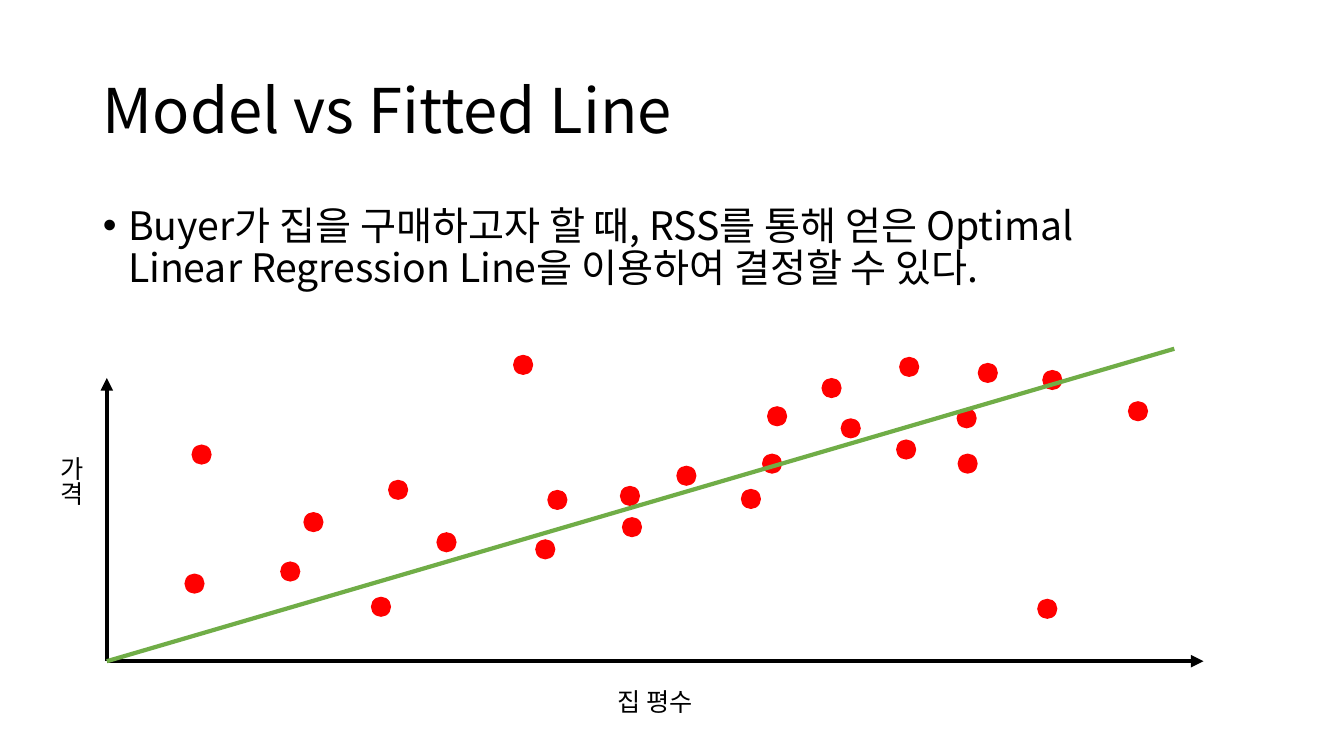
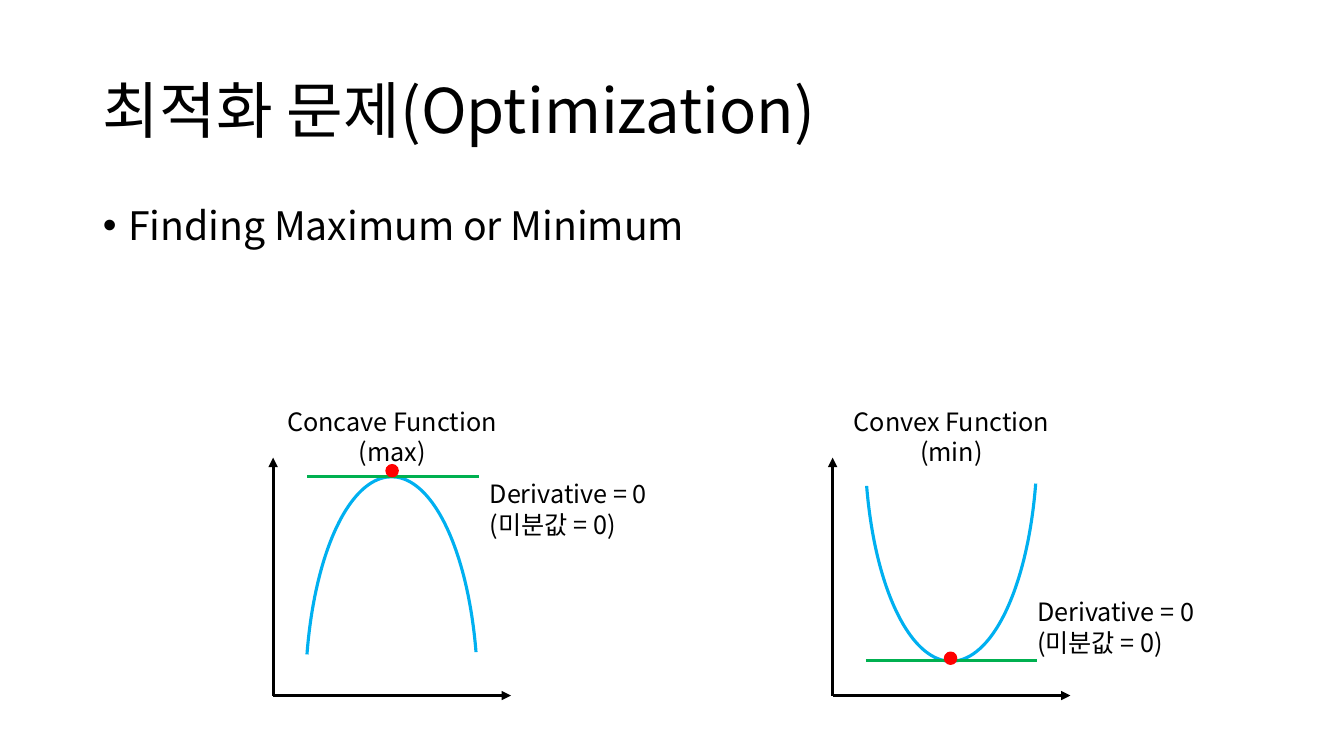
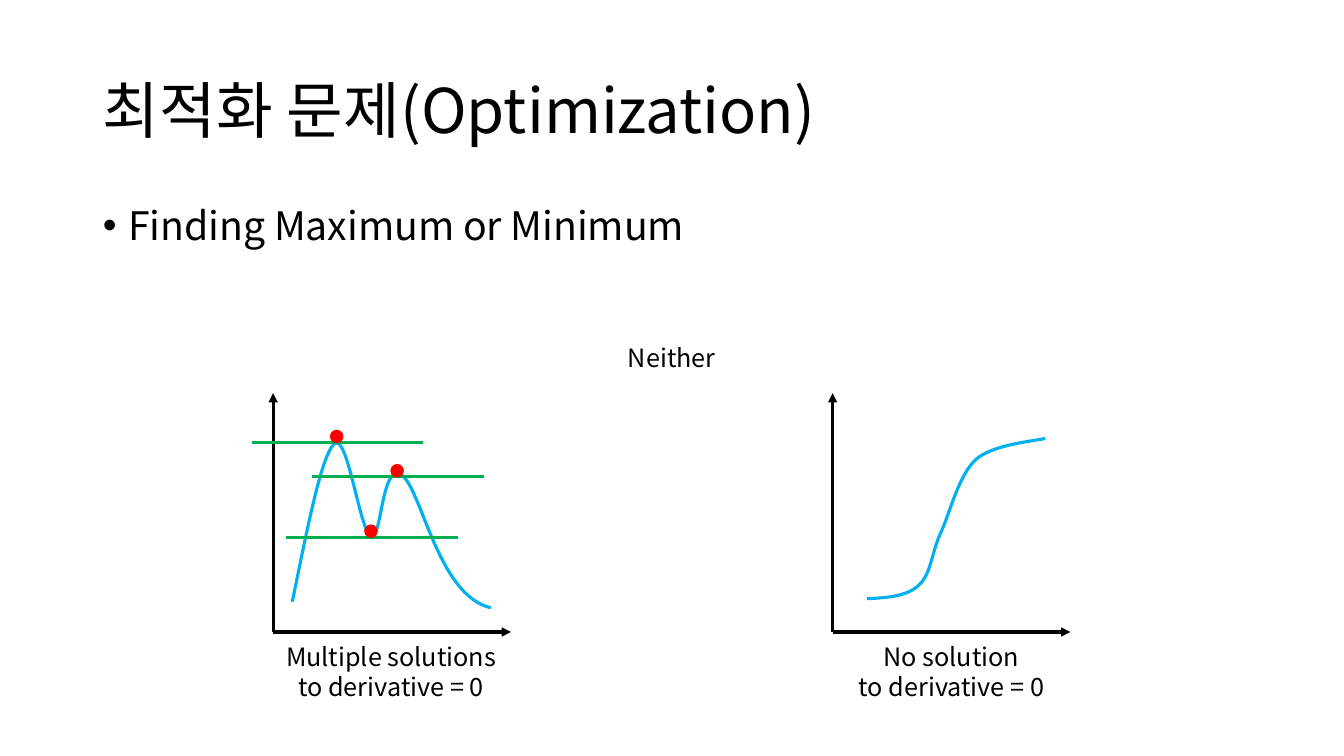
"""Build three slides on regression lines and optimization."""
from lxml.etree import SubElement
from pptx import Presentation
from pptx.dml.color import RGBColor
from pptx.enum.shapes import MSO_CONNECTOR, MSO_SHAPE
from pptx.enum.text import MSO_ANCHOR, MSO_AUTO_SIZE, PP_ALIGN
from pptx.oxml.ns import qn
from pptx.util import Inches, Pt

FONT = "Noto Sans CJK KR"
BLACK, RED, BLUE = "000000", "FF0000", "00B0F0"
TANGENT_GREEN, FIT_GREEN = "00B050", "70AD47"
LEFT, CENTER = PP_ALIGN.LEFT, PP_ALIGN.CENTER
rgb = RGBColor.from_string


def format_text(tf, size, align):
    """Align every paragraph and style its runs."""
    for p in tf.paragraphs:
        p.alignment = align
        for r in p.runs:
            r.font.name = FONT
            r.font.size = Pt(size)
            r.font.color.rgb = rgb(BLACK)


def add_line(s, x1, y1, x2, y2, color, width, arrow=False):
    """Draw a straight line, with an arrowhead at its end if asked."""
    line = s.shapes.add_connector(
        MSO_CONNECTOR.STRAIGHT, Inches(x1), Inches(y1), Inches(x2), Inches(y2))
    line.line.color.rgb = rgb(color)
    line.line.width = Pt(width)
    if arrow:
        SubElement(line.line._get_or_add_ln(), qn("a:tailEnd"), type="triangle")
    SubElement(line._element.spPr, qn("a:effectLst"))


prs = Presentation()
prs.slide_width, prs.slide_height = Inches(40 / 3), Inches(7.5)
layout = prs.slide_layouts[1]
for idx, box in enumerate([(0.92, 0.4, 11.5, 1.45), (0.92, 2, 11.02, 4.76)]):
    ph = layout.placeholders[idx]
    ph.left, ph.top, ph.width, ph.height = map(Inches, box)

contents = [
    ("Model vs Fitted Line",
     "Buyer가 집을 구매하고자 할 때, RSS를 통해 얻은 Optimal Linear Regression Line을 "
     "이용하여 결정할 수 있다."),
    ("최적화 문제(Optimization)", "Finding Maximum or Minimum"),
    ("최적화 문제(Optimization)", "Finding Maximum or Minimum"),
]
for title, bullet in contents:
    s = prs.slides.add_slide(layout)
    title_tf = s.shapes.title.text_frame
    title_tf.text = title
    title_tf.vertical_anchor = MSO_ANCHOR.MIDDLE
    title_tf.paragraphs[0].line_spacing = 0.9
    format_text(title_tf, 44, LEFT)
    body_tf = s.placeholders[1].text_frame
    body_tf.text = bullet
    p = body_tf.paragraphs[0]
    p.line_spacing = 0.9
    p.space_before = Pt(10)
    pPr = p._p.get_or_add_pPr()
    pPr.set("marL", str(Inches(0.25)))
    pPr.set("indent", str(Inches(-0.25)))
    format_text(body_tf, 28, LEFT)
fit, extrema, neither = prs.slides

axes = [(fit, 1.06, 6.56, 10.88, 2.81, 3)]
for x in (2.71, 8.26):
    axes += [(extrema, x, 6.9, 2.36, 2.36, 2.25), (neither, x, 6.27, 2.36, 2.37, 2.25)]
for s, x, y, w, h, width in axes:
    add_line(s, x, y, x + w, y, BLACK, width, arrow=True)
    add_line(s, x, y, x, y - h, BLACK, width, arrow=True)

derivative = "Derivative = 0\n(미분값 = 0)"
labels = [
    (fit, 5.04, 6.76, 2.92, 0.4, "집 평수", CENTER, "horz"),
    (fit, 0.41, 4.43, 0.5, 1.45, "가격", CENTER, "eaVert"),
    (extrema, 2.71, 3.98, 2.36, 0.71, "Concave Function\n(max)", CENTER, "horz"),
    (extrema, 8.26, 3.98, 2.36, 0.71, "Convex Function\n(min)", CENTER, "horz"),
    (extrema, 4.76, 4.7, 1.91, 0.71, derivative, LEFT, "horz"),
    (extrema, 10.19, 5.87, 1.91, 0.71, derivative, LEFT, "horz"),
    (neither, 2.71, 3.35, 7.91, 0.4, "Neither", CENTER, "horz"),
    (neither, 2.7, 6.31, 2.36, 0.71, "Multiple solutions\nto derivative = 0", CENTER, "horz"),
    (neither, 8.26, 6.31, 2.36, 0.71, "No solution\nto derivative = 0", CENTER, "horz"),
]
for s, x, y, w, h, text, align, direction in labels:
    tf = s.shapes.add_textbox(Inches(x), Inches(y), Inches(w), Inches(h)).text_frame
    tf.text = text
    tf.word_wrap = True
    tf.auto_size = MSO_AUTO_SIZE.SHAPE_TO_FIT_TEXT
    tf._txBody.bodyPr.set("vert", direction)
    format_text(tf, 18, align)

for x, y, rotation in [(3.03, 4.73, 0), (8.58, 2.21, 180)]:
    arc = extrema.shapes.add_shape(
        MSO_SHAPE.ARC, Inches(x), Inches(y), Inches(1.71), Inches(4.35))
    arc.adjustments[0], arc.adjustments[1] = 123.7, 199.52
    arc.rotation = rotation
    arc.shadow.inherit = False
    arc.fill.background()
    arc.line.color.rgb = rgb(BLUE)
    arc.line.width = Pt(2.25)

two_peaks = [
    (2.9, 5.97), (3.05, 5.24), (3.19, 4.51), (3.32, 4.4), (3.45, 4.3), (3.57, 5.27),
    (3.68, 5.32), (3.79, 5.37), (3.78, 4.59), (3.98, 4.71), (4.18, 4.83), (4.34, 5.91),
    (4.87, 6.03)]
s_curve = [
    (8.6, 5.94), (8.79, 5.93), (8.99, 5.92), (9.11, 5.81), (9.24, 5.7), (9.24, 5.48),
    (9.34, 5.27), (9.43, 5.07), (9.51, 4.72), (9.68, 4.56), (9.85, 4.41), (10.23, 4.38),
    (10.37, 4.35)]
for controls in (two_peaks, s_curve):
    start, *points = [(Inches(x), Inches(y)) for x, y in controls]
    builder = neither.shapes.build_freeform(*start)
    builder.add_line_segments(points, close=False)
    curve = builder.convert_to_shape()
    segments = list(curve._element.iter(qn("a:lnTo")))
    outline = segments[0].getparent()
    for i in range(0, len(segments), 3):
        bezier = SubElement(outline, qn("a:cubicBezTo"))
        for segment in segments[i:i + 3]:
            bezier.append(segment[0])
            outline.remove(segment)
    curve.shadow.inherit = False
    curve.fill.background()
    curve.line.color.rgb = rgb(BLUE)
    curve.line.width = Pt(2.25)

houses = [
    (1.83, 5.69), (5.43, 4.86), (3.68, 5.92), (7.56, 4.5), (11.19, 3.98), (3.85, 4.76),
    (9.49, 4.05), (9.5, 4.5), (5.09, 3.52), (2.78, 5.57), (7.61, 4.03), (9.7, 3.6),
    (3.01, 5.08), (10.34, 3.67), (8.92, 3.54), (8.89, 4.36), (4.33, 5.28), (8.15, 3.75),
    (5.31, 5.35), (6.17, 5.13), (7.35, 4.85), (6.71, 4.62), (6.15, 4.82), (8.34, 4.15),
    (10.29, 5.94), (1.9, 4.41)]
dots = [(fit, x, y, 0.2) for x, y in houses]
tangents = [
    (extrema, 3.05, 4.73, 0.12), (extrema, 8.59, 6.55, 0.08),
    (neither, 2.5, 4.39, 0.12), (neither, 2.84, 5.33, 0.12), (neither, 3.1, 4.73, 0.12)]
for s, x, y, rise in tangents:
    add_line(s, x, y, x + 1.7, y, TANGENT_GREEN, 2.25)
    dots.append((s, x + 0.78, y - rise, 0.12))

for s, x, y, size in dots:
    dot = s.shapes.add_shape(
        MSO_SHAPE.OVAL, Inches(x), Inches(y), Inches(size), Inches(size))
    dot.shadow.inherit = False
    dot.fill.solid()
    dot.fill.fore_color.rgb = rgb(RED)
    if s is fit:
        dot.line.fill.background()
    else:
        dot.line.color.rgb = rgb(RED)
        dot.line.width = Pt(1)
add_line(fit, 1.06, 6.56, 11.65, 3.46, FIT_GREEN, 3)

prs.save("out.pptx")
